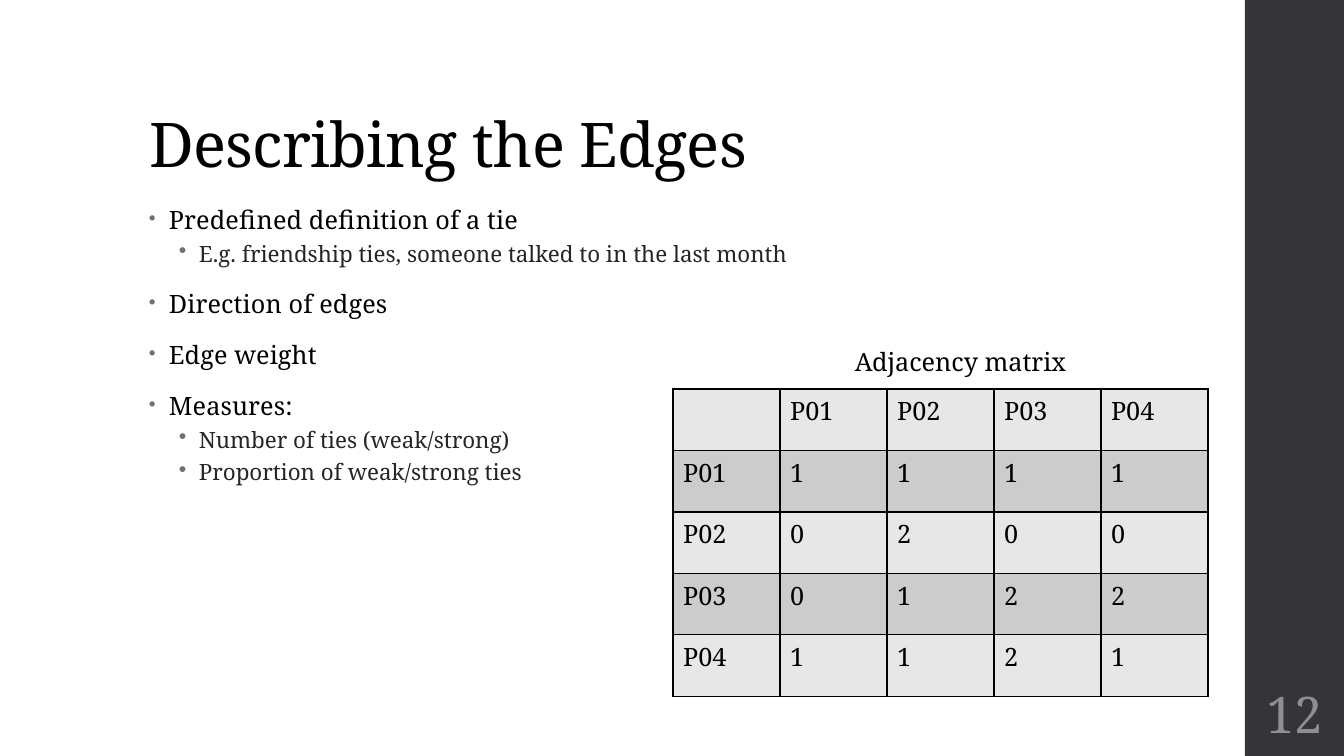
from lxml import etree
from pptx import Presentation
from pptx.dml.color import RGBColor
from pptx.enum.shapes import MSO_SHAPE
from pptx.enum.text import MSO_ANCHOR, MSO_AUTO_SIZE, PP_ALIGN
from pptx.oxml.ns import qn
from pptx.util import Emu, Pt

RECTANGLE = MSO_SHAPE.RECTANGLE
BOTTOM, MIDDLE, TOP = MSO_ANCHOR.BOTTOM, MSO_ANCHOR.MIDDLE, MSO_ANCHOR.TOP
LEFT, CENTER = PP_ALIGN.LEFT, PP_ALIGN.CENTER
NO_FIT = MSO_AUTO_SIZE.NONE

HEADING = "Describing the Edges"
OUTLINE = [
    (0, "Predefined definition of a tie"),
    (1, "E.g. friendship ties, someone talked to in the last month"),
    (0, "Direction of edges"),
    (0, "Edge weight"),
    (0, "Measures:"),
    (1, "Number of ties (weak/strong)"),
    (1, "Proportion of weak/strong ties"),
]
MATRIX_CAPTION = "Adjacency matrix"
PEOPLE = ["P01", "P02", "P03", "P04"]
TIES = [
    [1, 1, 1, 1],
    [0, 2, 0, 0],
    [0, 1, 2, 2],
    [1, 1, 2, 1],
]
PAGE = "12"

FONT = "Noto Serif"
BLACK = "000000"
BULLET_COLOR = "6F6F74"
ROW_FILLS = ["E7E7E7", "CCCCCC"]
LEVELS = [
    dict(size=18, color=BLACK, tracking=10, indent=20, line=0.95, before=14, after=2, bullet=80),
    dict(size=16, color="262626", tracking=0, indent=50, line=0.9, before=3, after=3, bullet=100),
]
HANGING = 20
MATRIX_LEFT, MATRIX_TOP = 673, 389
COLUMN, ROW = 107, 61.5
SCALE = 9071.43


def px(length):
    return Emu(round(length * SCALE))


def rgb(value):
    return RGBColor.from_string(value)


def style(paragraph, size, color, tracking=0):
    for run in paragraph.runs:
        run.font.name = FONT
        run.font.size = Pt(size)
        run.font.color.rgb = rgb(color)
        run._r.get_or_add_rPr().set("spc", str(tracking))


def add_node(parent, tag, **attributes):
    node = etree.SubElement(parent, qn(tag))
    for key, value in attributes.items():
        node.set(key, str(value))
    return node


def add_bullet(paragraph, level):
    props = paragraph._p.get_or_add_pPr()
    props.set("marL", str(px(level["indent"])))
    props.set("indent", str(-px(HANGING)))
    add_node(add_node(props, "a:buClr"), "a:srgbClr", val=BULLET_COLOR)
    add_node(props, "a:buSzPct", val=level["bullet"] * 1000)
    add_node(props, "a:buChar", char="•")


def add_borders(cell):
    props = cell._tc.get_or_add_tcPr()
    for side in ("a:lnL", "a:lnR", "a:lnT", "a:lnB"):
        line = add_node(props, side, w=Pt(1))
        add_node(add_node(line, "a:solidFill"), "a:srgbClr", val=BLACK)


def add_text(left, top, width, height, anchor=TOP):
    frame = slide.shapes.add_textbox(px(left), px(top), px(width), px(height)).text_frame
    frame.word_wrap = True
    frame.vertical_anchor = anchor
    return frame


deck = Presentation()
deck.slide_width, deck.slide_height = px(1344), px(756)
slide = deck.slides.add_slide(deck.slide_layouts[5])

sidebar = slide.shapes.add_shape(RECTANGLE, px(1245), 0, px(99), px(756))
sidebar.shadow.inherit = False
sidebar.fill.solid()
sidebar.fill.fore_color.rgb = rgb("353537")
sidebar.line.fill.background()

heading = slide.shapes.title
heading.left, heading.top, heading.width, heading.height = px(139), px(40), px(1068), px(146)
heading.text_frame.text = HEADING
heading.text_frame.auto_size = NO_FIT
heading.text_frame.vertical_anchor = BOTTOM
heading_line = heading.text_frame.paragraphs[0]
heading_line.alignment = LEFT
heading_line.line_spacing = 0.9
style(heading_line, 44, BLACK, -50)

outline = add_text(139, 202, 948, 480)
outline.text = "\n".join(text for _, text in OUTLINE)
for paragraph, (depth, _) in zip(outline.paragraphs, OUTLINE):
    level = LEVELS[depth]
    paragraph.level = depth
    paragraph.line_spacing = level["line"]
    paragraph.space_before = Pt(level["before"])
    paragraph.space_after = Pt(level["after"])
    add_bullet(paragraph, level)
    style(paragraph, level["size"], level["color"], level["tracking"])

page = add_text(1245, 680, 99, 66, MIDDLE)
page.margin_left = page.margin_right = page.margin_top = page.margin_bottom = px(5)
page.text = PAGE
page.paragraphs[0].alignment = CENTER
style(page.paragraphs[0], 36, "8E8E94")

rows = [["", *PEOPLE]] + [[person, *ties] for person, ties in zip(PEOPLE, TIES)]
size = len(rows)
matrix = slide.shapes.add_table(
    size, size, px(MATRIX_LEFT), px(MATRIX_TOP), px(COLUMN * size), px(ROW * size)
).table
for column in matrix.columns:
    column.width = px(COLUMN)
for r, values in enumerate(rows):
    matrix.rows[r].height = px(ROW)
    for c, value in enumerate(values):
        cell = matrix.cell(r, c)
        cell.text = str(value)
        style(cell.text_frame.paragraphs[0], 18, BLACK)
        add_borders(cell)
        cell.fill.solid()
        cell.fill.fore_color.rgb = rgb(ROW_FILLS[r % 2])

caption = add_text(845, 341, 234, 40)
caption.text = MATRIX_CAPTION
style(caption.paragraphs[0], 18, BLACK)

deck.save("out.pptx")
